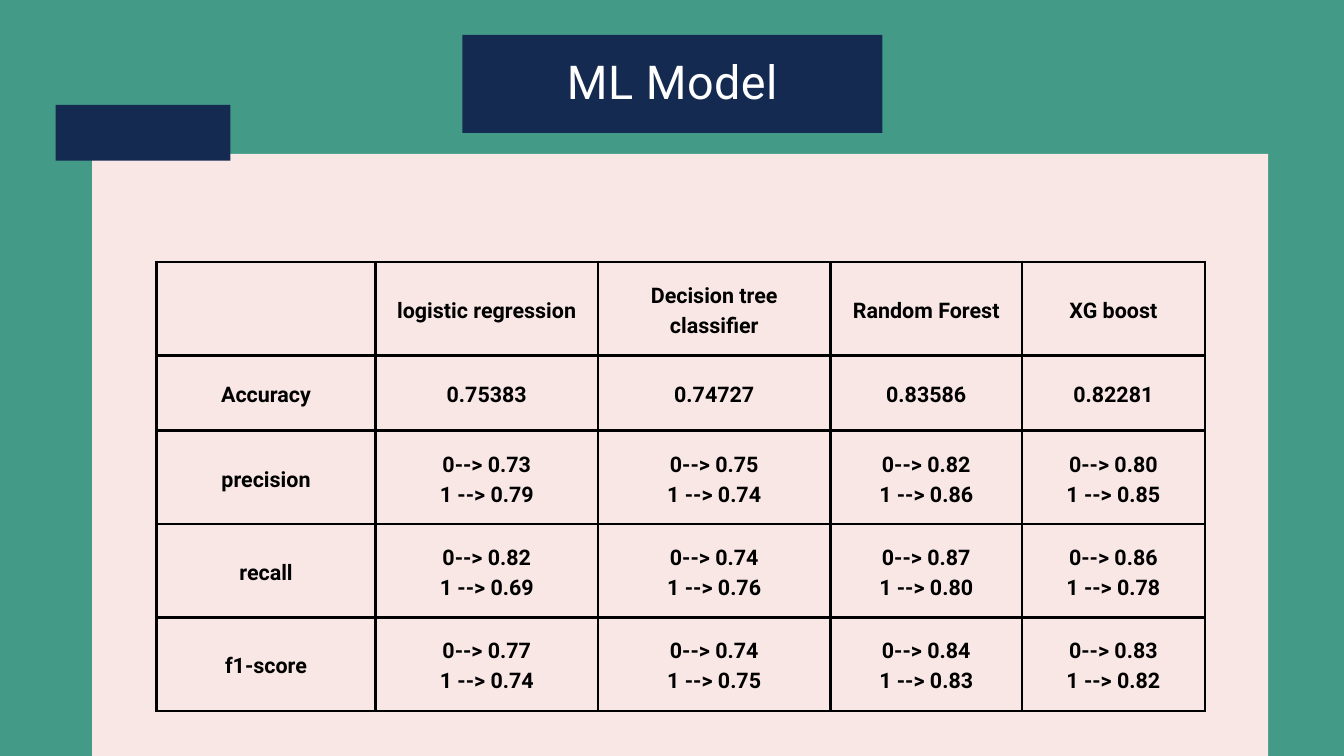
from lxml import etree
from pptx import Presentation
from pptx.dml.color import RGBColor
from pptx.enum.shapes import MSO_SHAPE
from pptx.enum.text import MSO_ANCHOR, PP_ALIGN
from pptx.oxml.ns import qn
from pptx.util import Inches, Pt

RECTANGLE = MSO_SHAPE.RECTANGLE
MIDDLE = MSO_ANCHOR.MIDDLE
CENTER = PP_ALIGN.CENTER

GREEN = RGBColor(0x43, 0x9A, 0x86)
PINK = RGBColor(0xF9, 0xE7, 0xE5)
NAVY = RGBColor(0x15, 0x2A, 0x51)
WHITE = RGBColor(0xFF, 0xFF, 0xFF)
BLACK = RGBColor(0x00, 0x00, 0x00)
FONT = "Roboto"

COLUMN_WIDTHS = [3.26, 3.31, 3.46, 2.85, 2.72]
ROW_HEIGHTS = [1.39, 1.12, 1.39, 1.39, 1.39]
MODELS = ["logistic regression", "Decision tree classifier", "Random Forest", "XG boost"]
ACCURACIES = ["0.75383", "0.74727", "0.83586", "0.82281"]
# Scores for class 0 and class 1, one pair per model
CLASS_SCORES = {
    "precision": [("0.73", "0.79"), ("0.75", "0.74"), ("0.82", "0.86"), ("0.80", "0.85")],
    "recall": [("0.82", "0.69"), ("0.74", "0.76"), ("0.87", "0.80"), ("0.86", "0.78")],
    "f1-score": [("0.77", "0.74"), ("0.74", "0.75"), ("0.84", "0.83"), ("0.83", "0.82")],
}


def add_block(slide, left, top, width, height, color):
    block = slide.shapes.add_shape(
        RECTANGLE, Inches(left), Inches(top), Inches(width), Inches(height))
    block.shadow.inherit = False
    block.fill.solid()
    block.fill.fore_color.rgb = color
    block.line.fill.background()


def set_margins(holder, inches):
    holder.margin_left = holder.margin_right = Inches(inches)
    holder.margin_top = holder.margin_bottom = Inches(inches)


def format_paragraphs(text_frame, size, line_spacing, color, bold=False):
    for para in text_frame.paragraphs:
        para.alignment = CENTER
        para.line_spacing = Pt(line_spacing)
        for span in para.runs:
            span.font.name = FONT
            span.font.size = Pt(size)
            span.font.bold = bold
            span.font.color.rgb = color


def add_title(slide, text):
    box = slide.shapes.add_textbox(Inches(6.88), Inches(0.44), Inches(6.25), Inches(1.54))
    frame = box.text_frame
    frame.word_wrap = True
    frame.vertical_anchor = MIDDLE
    set_margins(frame, 0.07)
    frame.text = text
    format_paragraphs(frame, 50, 60, WHITE)
    # Letter spacing in hundredths of a point
    frame.paragraphs[0].runs[0].font._element.set("spc", "50")


def add_borders(cell, color, width):
    properties = cell._tc.get_or_add_tcPr()
    for side in ("a:lnL", "a:lnR", "a:lnT", "a:lnB"):
        line = etree.SubElement(properties, qn(side), w=str(Pt(width)))
        fill = etree.SubElement(line, qn("a:solidFill"))
        etree.SubElement(fill, qn("a:srgbClr"), val=str(color))


def add_score_table(slide, rows):
    frame = slide.shapes.add_table(
        len(rows), len(rows[0]), Inches(2.33), Inches(3.9),
        Inches(sum(COLUMN_WIDTHS)), Inches(sum(ROW_HEIGHTS)))
    table = frame.table
    table.first_row = table.horz_banding = False
    for column, width in zip(table.columns, COLUMN_WIDTHS):
        column.width = Inches(width)
    for row, height, texts in zip(table.rows, ROW_HEIGHTS, rows):
        row.height = Inches(height)
        for cell, text in zip(row.cells, texts):
            cell.vertical_anchor = MIDDLE
            set_margins(cell, 0.21)
            add_borders(cell, BLACK, 3)
            cell.fill.background()
            cell.text_frame.text = text
            format_paragraphs(cell.text_frame, 23, 32.2, BLACK, bold=True)


def main():
    deck = Presentation()
    deck.slide_width, deck.slide_height = Inches(20), Inches(11.25)
    slide = deck.slides.add_slide(deck.slide_layouts[6])
    slide.background.fill.solid()
    slide.background.fill.fore_color.rgb = GREEN

    # Panel, corner tab and title bar
    add_block(slide, 1.37, 2.29, 17.5, 8.96, PINK)
    add_block(slide, 0.83, 1.56, 2.6, 0.83, NAVY)
    add_block(slide, 6.88, 0.52, 6.25, 1.46, NAVY)
    add_title(slide, "ML Model")

    # Model comparison
    rows = [["", *MODELS], ["Accuracy", *ACCURACIES]]
    for metric, pairs in CLASS_SCORES.items():
        rows.append([metric, *(f"0--> {zero}\n1 --> {one}" for zero, one in pairs)])
    add_score_table(slide, rows)

    deck.save("out.pptx")


if __name__ == "__main__":
    main()
